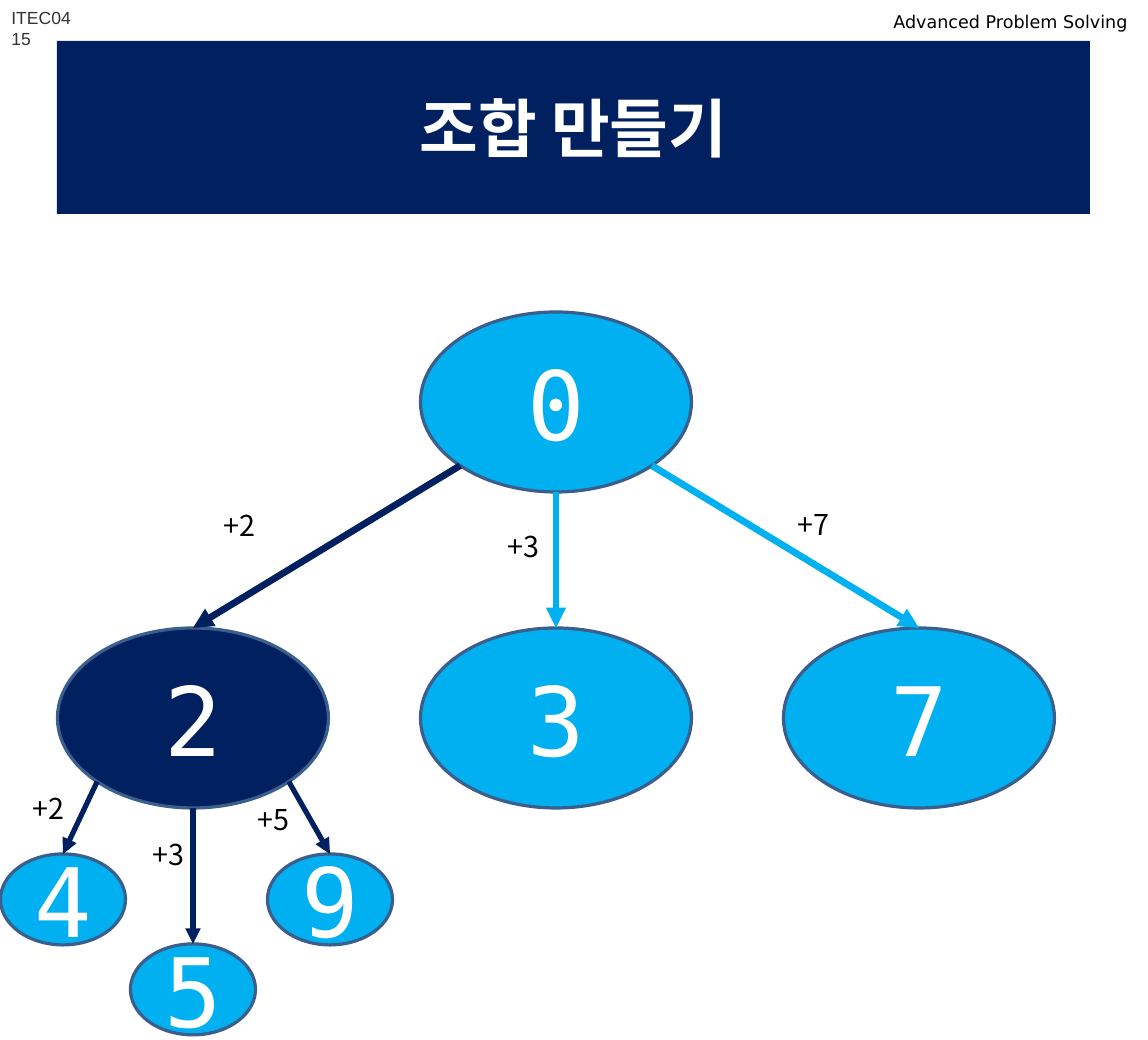
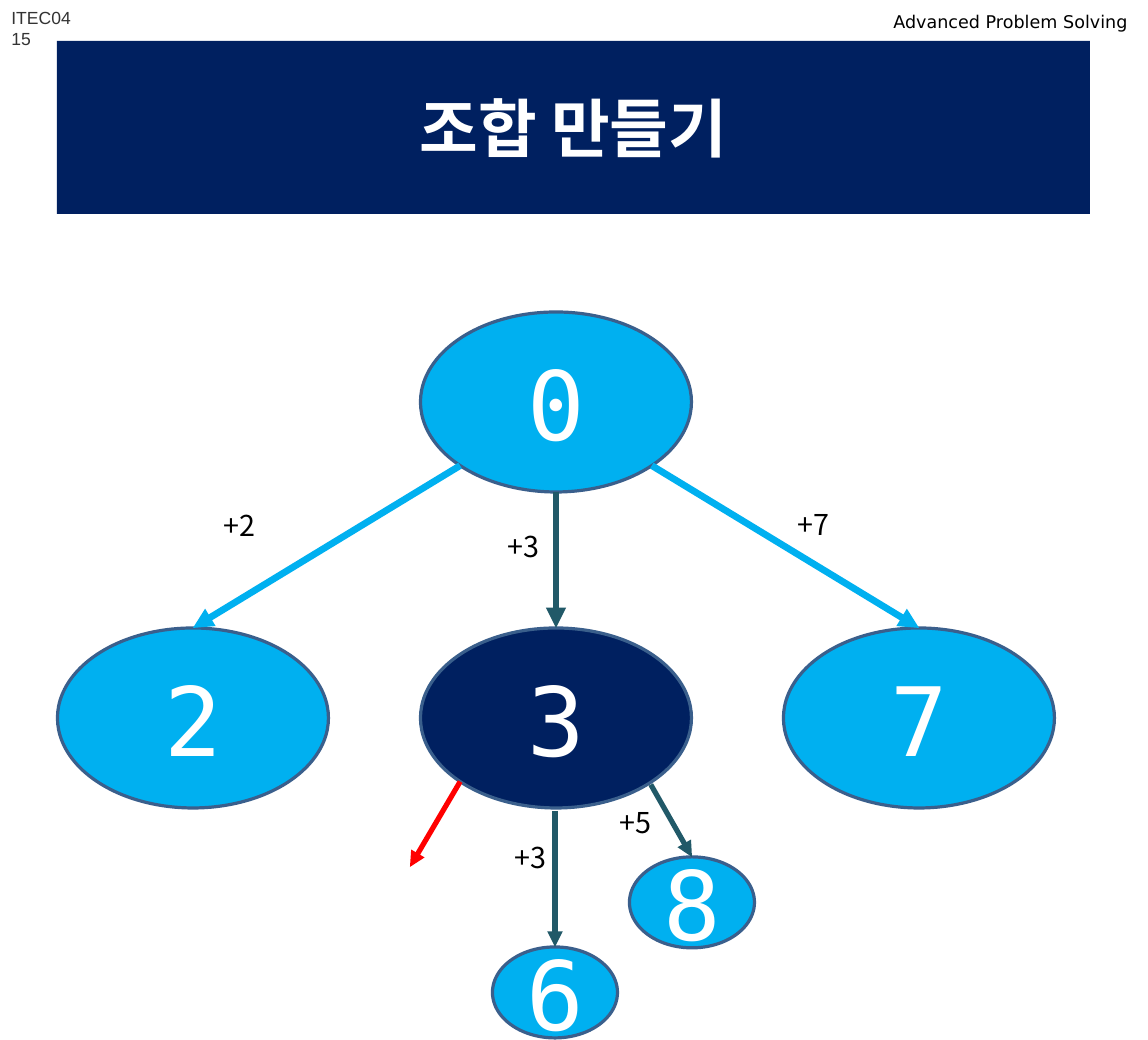
from math import sqrt

from lxml import etree
from pptx import Presentation
from pptx import util as u
from pptx.dml.color import RGBColor
from pptx.enum import shapes, text
from pptx.oxml.ns import qn

NAVY = RGBColor(0x00, 0x20, 0x60)
SKY = RGBColor(0x00, 0xB0, 0xF0)
TEAL = RGBColor(0x21, 0x59, 0x68)
RED = RGBColor(0xFF, 0x00, 0x00)
OUTLINE = RGBColor(0x3A, 0x5F, 0x8C)
WHITE = RGBColor(0xFF, 0xFF, 0xFF)
BLACK = RGBColor(0x00, 0x00, 0x00)
GREY = RGBColor(0x33, 0x33, 0x33)

SCALE = u.Inches(1) / 114.8
TITLE = "조합 만들기"
TITLE_BOX = (57, 41, 1033, 173)
# text, box, font, colour
HEADERS = [
    ("ITEC0415", (0, 1, 91, 33), "Arial", GREY),
    ("Advanced Problem Solving", (882, 5, 439, 33), "DejaVu Sans", BLACK),
]

LARGE, SMALL = (271, 180), (125, 91)
LABEL_SIZE = (163, 46)
LEVEL_TOPS = (312, 628)
COLUMNS = [193 + 363 * column for column in range(3)]
ROOT = "0"
# value, step, label position
CHILDREN = [
    ("2", "+2", (212, 502)),
    ("3", "+3", (496, 523)),
    ("7", "+7", (786, 501)),
]
# Second step below the first column: centre offset, top, label position
BRANCHES = {
    "+2": (-130, 854, (21, 785)),
    "+3": (0, 944, (141, 831)),
    "+5": (137, 854, (246, 796)),
}

# chosen column, path colour, shift of the branches, leaves, end of the rejected arrow
TREES = [
    dict(chosen=0, colour=NAVY, shift=(0, 0),
         leaves=[("4", "+2"), ("5", "+3"), ("9", "+5")], rejected=None),
    dict(chosen=1, colour=TEAL, shift=(362, 3),
         leaves=[("6", "+3"), ("8", "+5")], rejected=(410, 867)),
]


def emu(*pixels):
    """Turn pixel lengths into EMU."""
    return [round(pixel * SCALE) for pixel in pixels]


def format_text(shape, size, font, colour, bold=False):
    """Set the font of the only paragraph in a shape."""
    paragraph = shape.text_frame.paragraphs[0]
    paragraph.font.size = u.Pt(size)
    paragraph.font.name = font
    paragraph.font.color.rgb = colour
    paragraph.font.bold = bold
    return paragraph


def add_text(slide, words, box, size, font, colour):
    """Add a wrapped text box."""
    shape = slide.shapes.add_textbox(*emu(*box))
    shape.text_frame.word_wrap = True
    shape.text_frame.text = words
    format_text(shape, size, font, colour)


def add_label(slide, step, left, top):
    """Add the label beside an arrow."""
    add_text(slide, step, (left, top, *LABEL_SIZE), 18, "Noto Sans CJK KR", BLACK)


def add_node(slide, value, centre, top, size, fill):
    """Add an ellipse with a number, placed by its top centre."""
    width, height = size
    node = slide.shapes.add_shape(
        shapes.MSO_SHAPE.OVAL, *emu(centre - width / 2, top, width, height))
    node.shadow.inherit = False
    node.fill.solid()
    node.fill.fore_color.rgb = fill
    node.line.color.rgb = OUTLINE
    node.line.width = u.Pt(2)
    node.text_frame.text = value
    node.text_frame.vertical_anchor = text.MSO_ANCHOR.MIDDLE
    format_text(node, 60, "DejaVu Sans Mono", WHITE).alignment = text.PP_ALIGN.CENTER
    return node


def exit_point(centre, top, side):
    """Return the lower left (-1), bottom (0) or lower right (1) point of a large node."""
    width, height = LARGE
    reach = 1 / sqrt(2) if side else 1
    return centre + side * reach * width / 2, top + (1 + reach) * height / 2


def add_arrow(slide, start, end, colour, width, target=None):
    """Add an arrow, glued to the top of the target node if there is one."""
    arrow = slide.shapes.add_connector(
        shapes.MSO_CONNECTOR.STRAIGHT, *emu(*start, *end))
    if target is not None:
        arrow.end_connect(target, 0)
    arrow.line.color.rgb = colour
    arrow.line.width = u.Pt(width)
    etree.SubElement(arrow.line._get_or_add_ln(), qn("a:tailEnd"), type="triangle")
    etree.SubElement(arrow._element.spPr, qn("a:effectLst"))


def add_frame(slide):
    """Format the title band and add the two headers."""
    title = slide.shapes.title
    title.left, title.top, title.width, title.height = emu(*TITLE_BOX)
    title.fill.solid()
    title.fill.fore_color.rgb = NAVY
    title.text_frame.text = TITLE
    title.text_frame.vertical_anchor = text.MSO_ANCHOR.MIDDLE
    format_text(title, 40, "DejaVu Sans", WHITE, True).alignment = text.PP_ALIGN.CENTER
    for words, box, font, colour in HEADERS:
        add_text(slide, words, box, 11, font, colour)


def add_first_step(slide, chosen, colour):
    """Draw the root and its three children."""
    root_top, child_top = LEVEL_TOPS
    add_node(slide, ROOT, COLUMNS[1], root_top, LARGE, SKY)
    for column, (value, step, label) in enumerate(CHILDREN):
        on_path = column == chosen
        centre = COLUMNS[column]
        child = add_node(slide, value, centre, child_top, LARGE, NAVY if on_path else SKY)
        add_arrow(slide, exit_point(COLUMNS[1], root_top, column - 1),
                  (centre, child_top), colour if on_path else SKY, 4.25, child)
        add_label(slide, step, *label)


def add_second_step(slide, colour, shift, leaves):
    """Draw the leaves below the chosen child."""
    shift_x, shift_y = shift
    parent = COLUMNS[0] + shift_x
    for value, step in leaves:
        offset, top, (label_left, label_top) = BRANCHES[step]
        centre, top = parent + offset, top + shift_y
        side = (offset > 0) - (offset < 0)
        leaf = add_node(slide, value, centre, top, SMALL, SKY)
        add_arrow(slide, exit_point(parent, LEVEL_TOPS[1] + shift_y, side),
                  (centre, top), colour, 3.25, leaf)
        add_label(slide, step, label_left + shift_x, label_top + shift_y)


def main():
    """Build and save the presentation."""
    presentation = Presentation()
    presentation.slide_width = u.Inches(10)
    presentation.slide_height = u.Inches(9.06)
    for tree in TREES:
        slide = presentation.slides.add_slide(presentation.slide_layouts[5])
        add_frame(slide)
        add_first_step(slide, tree["chosen"], tree["colour"])
        add_second_step(slide, tree["colour"], tree["shift"], tree["leaves"])
        if tree["rejected"]:
            start = exit_point(COLUMNS[tree["chosen"]], LEVEL_TOPS[1], -1)
            add_arrow(slide, start, tree["rejected"], RED, 3.25)
    presentation.save("out.pptx")


main()
